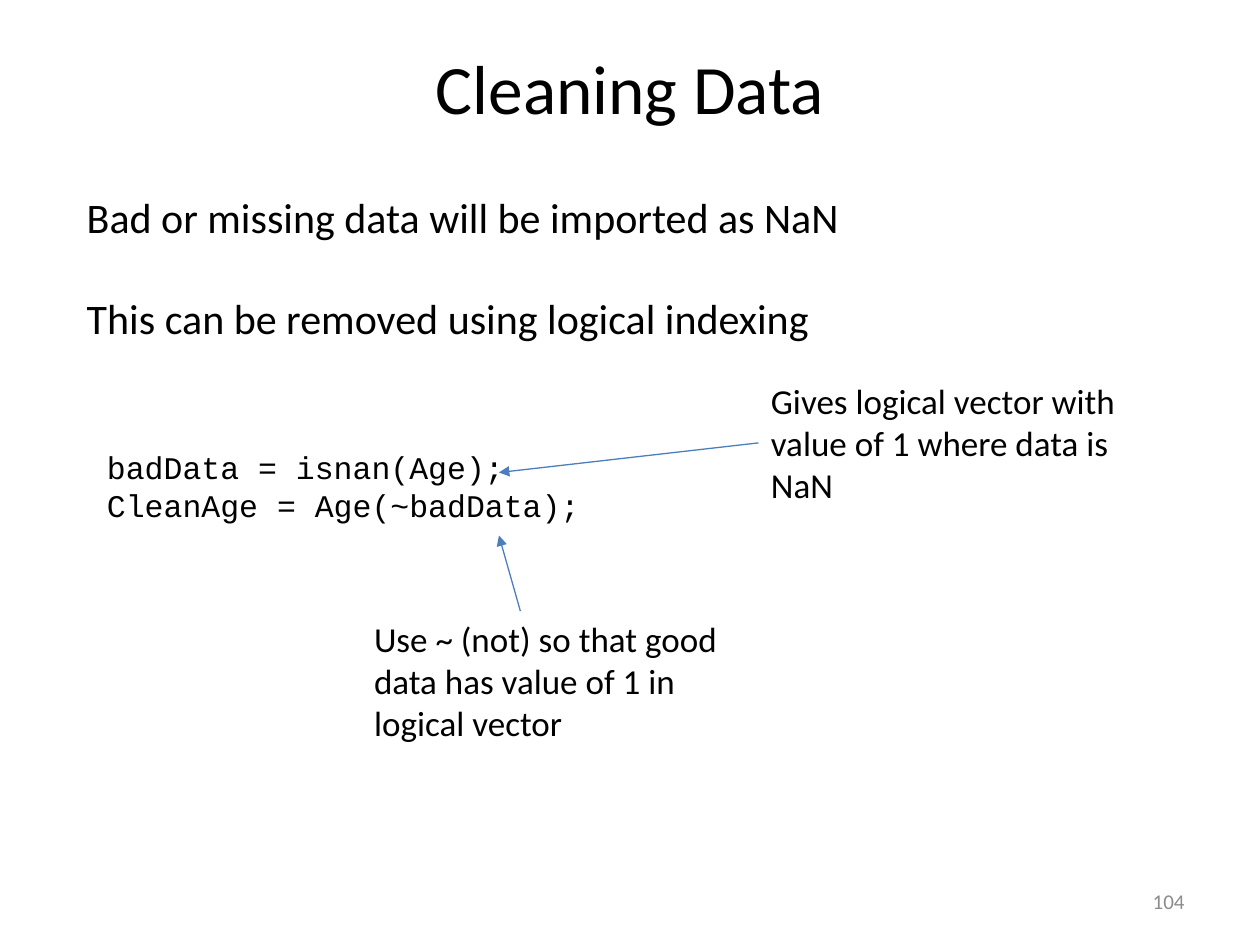
import pptx
import pptx.util
import pptx.dml.color
import pptx.enum.shapes
import pptx.enum.text
import pptx.oxml
import pptx.oxml.ns
from pptx.util import Inches

BLACK = pptx.dml.color.RGBColor(0x00, 0x00, 0x00)
GREY = pptx.dml.color.RGBColor(0x8C, 0x8C, 0x8C)
BLUE = pptx.dml.color.RGBColor(0x4B, 0x7E, 0xBC)
ALIGN = pptx.enum.text.PP_ALIGN
ANCHOR = pptx.enum.text.MSO_ANCHOR


def write_text(shape, lines, size, font="Calibri", color=BLACK,
               align=ALIGN.LEFT, anchor=ANCHOR.TOP, gap=0):
    """Fill a shape with one paragraph per line; gap is the space between them in points."""
    frame = shape.text_frame
    frame.word_wrap = True
    frame.vertical_anchor = anchor
    frame.text = "\n".join(lines)
    for index, paragraph in enumerate(frame.paragraphs):
        paragraph.alignment = align
        paragraph.space_before = pptx.util.Pt(gap if index else 0)
        paragraph.font.size = pptx.util.Pt(size)
        paragraph.font.name = font
        paragraph.font.color.rgb = color


def add_arrow(shapes, start, end):
    arrow = shapes.add_connector(
        pptx.enum.shapes.MSO_CONNECTOR.STRAIGHT,
        *(Inches(value) for value in start + end))
    arrow.line.color.rgb = BLUE
    arrow.line.width = pptx.util.Pt(0.75)
    properties = arrow.line._get_or_add_ln()
    properties.append(pptx.oxml.parse_xml(
        f'<a:tailEnd {pptx.oxml.ns.nsdecls("a")} type="triangle"/>'))
    properties.getparent().append(pptx.oxml.parse_xml(
        f'<a:effectLst {pptx.oxml.ns.nsdecls("a")}/>'))
    return arrow


presentation = pptx.Presentation()
presentation.slide_width = Inches(10)
presentation.slide_height = Inches(7.5)
slide = presentation.slides.add_slide(presentation.slide_layouts[5])
shapes = slide.shapes

title = shapes.title
title.left, title.top = Inches(0.5), Inches(0.3)
title.width, title.height = Inches(9), Inches(0.77)
write_text(title, ["Cleaning Data"], 39.6, align=ALIGN.CENTER, anchor=ANCHOR.MIDDLE)

slide_number = shapes.add_textbox(Inches(7.17), Inches(6.95), Inches(2.33), Inches(0.4))
write_text(slide_number, ["104"], 12, color=GREY, align=ALIGN.RIGHT, anchor=ANCHOR.MIDDLE)

explanation = shapes.add_textbox(Inches(0.59), Inches(1.47), Inches(8.9), Inches(1.31))
write_text(explanation, ["Bad or missing data will be imported as NaN",
                         "This can be removed using logical indexing"], 24, gap=29)

code = shapes.add_textbox(Inches(0.75), Inches(3.51), Inches(6.42), Inches(1.01))
write_text(code, ["badData = isnan(Age);", "CleanAge = Age(~badData);"], 18, font="Courier New")

isnan_note = shapes.add_textbox(Inches(6.02), Inches(2.96), Inches(3.15), Inches(1.11))
write_text(isnan_note, ["Gives logical vector with value of 1 where data is NaN"], 20)
isnan_arrow = add_arrow(shapes, (6.02, 3.5), (3.96, 3.75))
isnan_arrow.begin_connect(isnan_note, 1)

not_note = shapes.add_textbox(Inches(2.87), Inches(4.85), Inches(3.31), Inches(1.11))
write_text(not_note, ["Use ~ (not) so that good data has value of 1 in logical vector"], 20)
add_arrow(shapes, (4.13, 4.85), (3.96, 4.25))

presentation.save("out.pptx")
